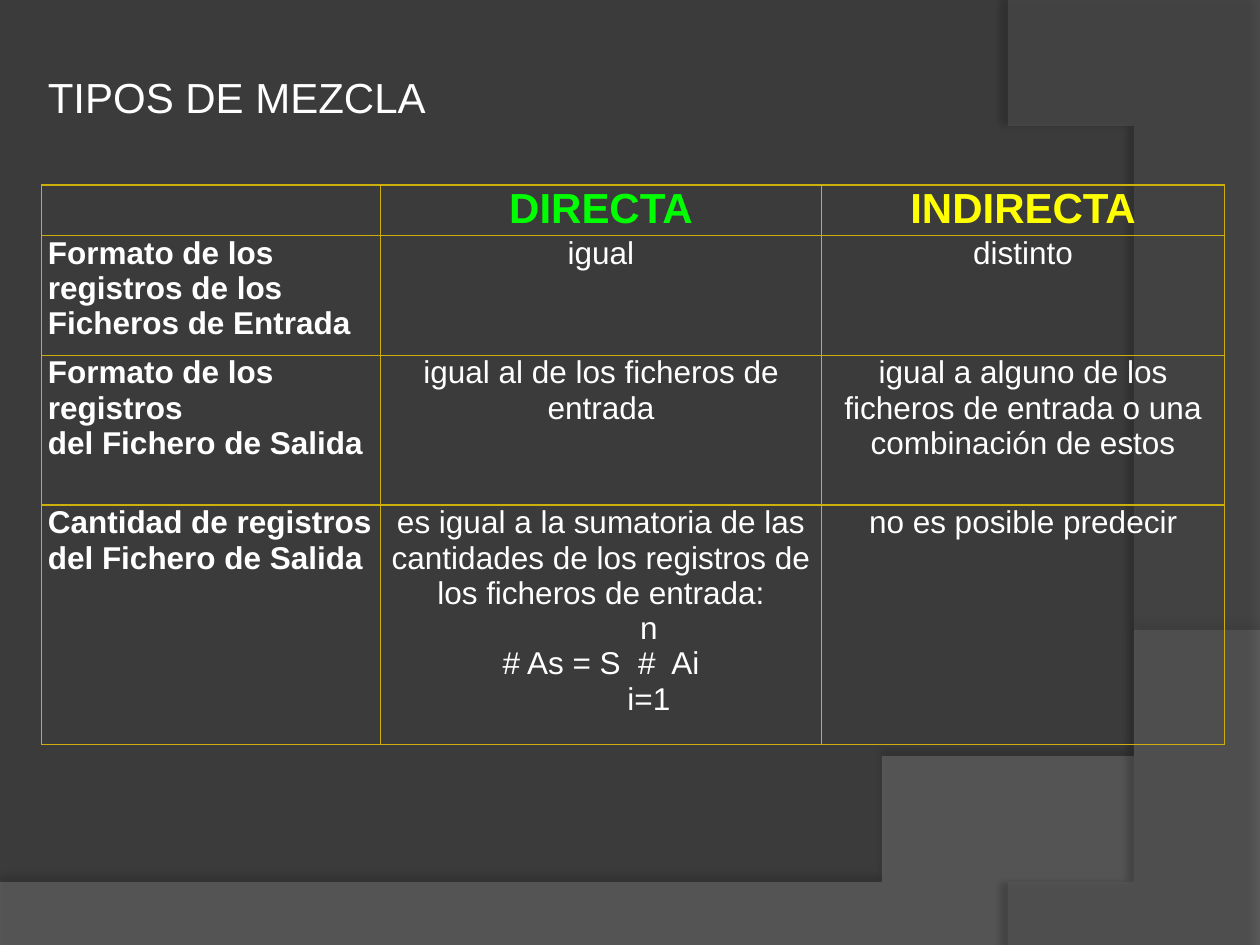
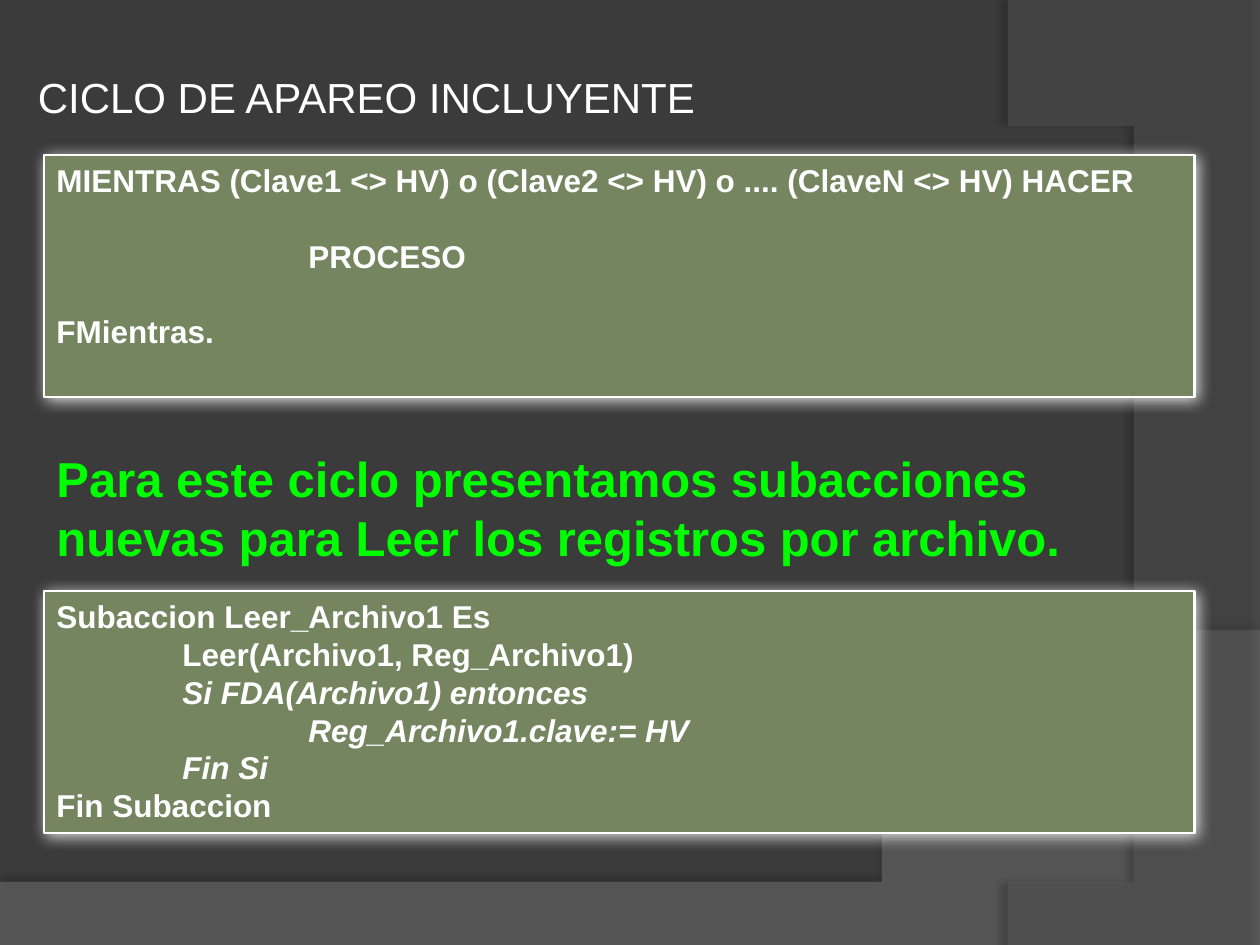
from lxml import etree
from pptx import Presentation
from pptx import util as u
from pptx.dml.color import RGBColor
from pptx.enum import shapes, text
from pptx.oxml import ns, parse_xml

COLORS = {
    "background": "3B3B3B", "wave": "7F7F7F", "arc": "5E5E5E", "black": "000000",
    "white": "FFFFFF", "green": "00FF00", "yellow": "FFFF00",
    "gold": "CCAF0A", "olive": "748560",
}
CENTER = text.PP_ALIGN.CENTER
LEFT = text.PP_ALIGN.LEFT


def curve(start, c1, c2, end, steps=60):
    points = []
    for n in range(1, steps + 1):
        t = n / steps
        weights = ((1 - t) ** 3, 3 * t * (1 - t) ** 2, 3 * t * t * (1 - t), t ** 3)
        points.append(tuple(sum(w * q[axis] for w, q in zip(weights, (start, c1, c2, end)))
                            for axis in (0, 1)))
    return points


class Deck:
    font = "Arial"

    def __init__(self):
        self.prs = Presentation()
        self.prs.slide_width, self.prs.slide_height = u.Inches(10), u.Inches(7.5)
        self.s = None
        master = self.prs.slide_master
        fill = master.background.fill
        fill.solid()
        fill.fore_color.rgb = self.color("background")

    def color(self, name):
        return RGBColor.from_string(COLORS[name])

    def box(self, *lengths):
        return [u.Inches(length) for length in lengths]

    def new_slide(self, title, left, width):
        self.s = self.prs.slides.add_slide(self.prs.slide_layouts[5])
        sp = self.s.shapes.title
        sp.left, sp.top, sp.width, sp.height = self.box(left, 0.52, width, 0.5)
        self.frame_text(sp.text_frame, [title], size=24, wrap=False)

    def frame_text(self, tf, lines, size=18, color="white", bold=False, align=LEFT, wrap=True):
        frame = {"word_wrap": wrap, "auto_size": text.MSO_AUTO_SIZE.NONE,
                 "vertical_anchor": text.MSO_ANCHOR.TOP}
        for name, value in frame.items():
            setattr(tf, name, value)
        self.paragraphs(tf, lines, size, color, bold, align)

    def paragraphs(self, tf, lines, size, color, bold, align):
        for n, line in enumerate(lines):
            line = line if isinstance(line, dict) else {"text": line}
            p = tf.paragraphs[0] if n == 0 else tf.add_paragraph()
            p.alignment = align
            if "indent" in line:
                pPr = p._p.get_or_add_pPr()
                pPr.set("marL", str(u.Inches(line["indent"])))
                pPr.set("indent", "0")
            if "before" in line:
                p.space_before = u.Pt(line["before"])
            r = p.add_run()
            r.text = line["text"]
            style = {"name": self.font, "size": u.Pt(size), "bold": bold,
                     "italic": line.get("italic", False)}
            for name, value in style.items():
                setattr(r.font, name, value)
            r.font.color.rgb = self.color(color)

    def shadow(self, sp, color, alpha, blur, dist, angle):
        sp.shadow.inherit = False
        effects = sp.element.spPr.find(ns.qn("a:effectLst"))
        effects.append(parse_xml(
            f'<a:outerShdw {ns.nsdecls("a")} blurRad="{u.Pt(blur)}" dist="{u.Pt(dist)}" '
            f'dir="{angle * 60000}" algn="ctr" rotWithShape="0"><a:srgbClr val="{COLORS[color]}">'
            f'<a:alpha val="{alpha * 1000}"/></a:srgbClr></a:outerShdw>'))

    def master_band(self, points, color, opacity, shadow_alpha, dist, angle):
        builder = self.s.shapes.build_freeform(*points[0], scale=u.Inches(1))
        builder.add_line_segments(points[1:], close=True)
        sp = builder.convert_to_shape()
        sp.fill.solid()
        sp.fill.fore_color.rgb = self.color(color)
        sp.line.fill.background()
        clr = sp.element.spPr.find(".//" + ns.qn("a:srgbClr"))
        etree.SubElement(clr, ns.qn("a:alpha"), val=str(opacity * 1000))
        self.shadow(sp, "black", shadow_alpha, 4, dist, angle)
        tree = self.prs.slide_master.shapes.element
        sp.element.nvSpPr.cNvPr.set("id", str(100 + len(tree)))
        tree.insert(2, sp.element)

    def text(self, bounds, lines, **style):
        tf = self.s.shapes.add_textbox(*self.box(*bounds)).text_frame
        self.frame_text(tf, lines, **style)

    def code_panel(self, top, lines):
        sp = self.s.shapes.add_shape(shapes.MSO_SHAPE.RECTANGLE, *self.box(0.35, top, 9.13, 1.92))
        sp.fill.solid()
        sp.fill.fore_color.rgb = self.color("olive")
        sp.line.color.rgb = self.color("white")
        sp.line.width = u.Pt(1.5)
        self.shadow(sp, "white", 80, 8, 1.5, 45)
        self.frame_text(sp.text_frame, lines, bold=True)

    def border(self, cell):
        tcPr = cell._tc.get_or_add_tcPr()
        for n, side in enumerate(("lnL", "lnR", "lnT", "lnB")):
            tcPr.insert(n, parse_xml(
                f'<a:{side} {ns.nsdecls("a")} w="{u.Pt(1)}"><a:solidFill>'
                f'<a:srgbClr val="{COLORS["gold"]}"/></a:solidFill></a:{side}>'))

    def table(self, bounds, widths, heights, rows, header_colors):
        frame = self.s.shapes.add_table(len(rows), len(widths), *self.box(*bounds))
        table = frame.table
        table.first_row = table.horz_banding = False
        for column, width in zip(table.columns, widths):
            column.width = u.Inches(width)
        for row, height in zip(table.rows, heights):
            row.height = u.Inches(height)
        margins = {"margin_left": 0.05, "margin_right": 0.05, "margin_top": 0, "margin_bottom": 0}
        for i, row in enumerate(rows):
            for j, lines in enumerate(row):
                cell = table.cell(i, j)
                for name, value in margins.items():
                    setattr(cell, name, u.Inches(value))
                cell.fill.background()
                self.border(cell)
                self.paragraphs(cell.text_frame, lines, 24 if i == 0 else 18,
                                header_colors[j] if i == 0 else "white",
                                i == 0 or j == 0, LEFT if j == 0 else CENTER)


def main():
    deck = Deck()

    deck.new_slide("TIPOS DE MEZCLA", 0.28, 3.23)
    arc = [(10, 0.02), (10, 7.5), (8.21, 7.5)]
    arc += curve(arc[-1], (9.35, 6.19), (10.18, 3), (8, 0))
    deck.master_band(arc, "arc", 40, 45, 4, 180)
    wave = [(0, 7.05), (0, 7.5), (10, 7.5), (10, 5.2)]
    wave += curve(wave[-1], (5.59, 7.29), (3.91, 7.19), wave[0])
    deck.master_band(wave, "wave", 45, 35, 3.5, 270)

    deck.table((0.33, 1.47, 9.39, 4.44), (2.69, 3.5, 3.2), (0.4, 0.95, 1.19, 1.9), [
        [[], ["DIRECTA"], ["INDIRECTA"]],
        [["Formato de los registros de los Ficheros de Entrada"], ["igual"], ["distinto"]],
        [["Formato de los registros", "del Fichero de Salida"],
         ["igual al de los ficheros de entrada"],
         ["igual a alguno de los ficheros de entrada o una combinación de estos"]],
        [["Cantidad de registros", "del Fichero de Salida"],
         ["es igual a la sumatoria de las cantidades de los registros "
          "de los ficheros de entrada:",
          {"text": "n", "indent": 0.76}, "# As = S  #  Ai", {"text": "i=1", "indent": 0.76}],
         ["no es posible predecir"]],
    ], ("white", "green", "yellow"))

    deck.new_slide("CICLO DE APAREO INCLUYENTE", 0.2, 5.47)
    deck.code_panel(1.23, [
        "MIENTRAS (Clave1 <> HV) o (Clave2 <> HV) o .... (ClaveN <> HV) HACER",
        {"text": "PROCESO", "indent": 2, "before": 21.6},
        {"text": "FMientras.", "before": 21.6},
    ])
    deck.text((0.35, 3.51, 9.06, 1.04),
              ["Para este ciclo presentamos subacciones nuevas para Leer los registros por archivo."],
              size=28, color="green", bold=True)
    deck.code_panel(4.69, [
        "Subaccion Leer_Archivo1 Es",
        {"text": "Leer(Archivo1, Reg_Archivo1)", "indent": 1},
        {"text": "Si FDA(Archivo1) entonces", "indent": 1, "italic": True},
        {"text": "Reg_Archivo1.clave:= HV", "indent": 2, "italic": True},
        {"text": "Fin Si", "indent": 1, "italic": True},
        "Fin Subaccion",
    ])

    deck.prs.save("out.pptx")


if __name__ == "__main__":
    main()
